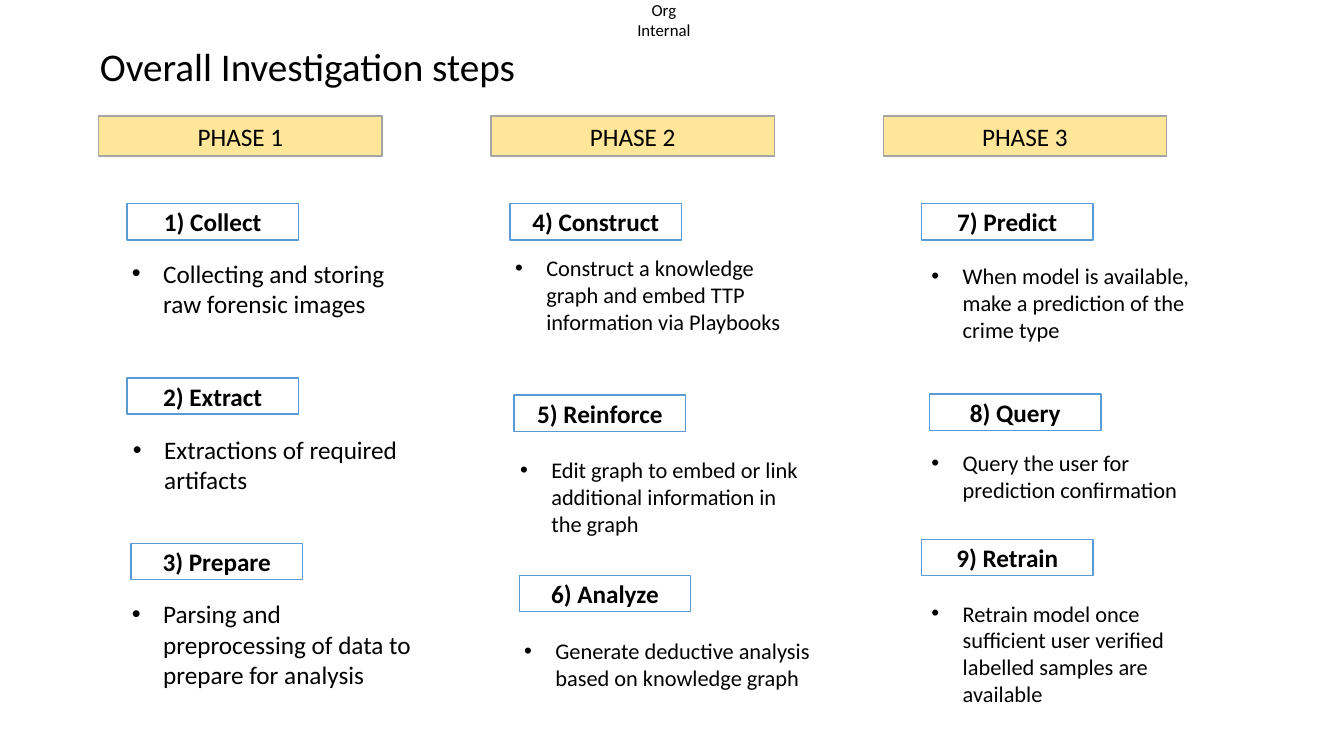
from pptx import Presentation
from pptx.dml.color import RGBColor
from pptx.enum.shapes import MSO_SHAPE
from pptx.enum.text import MSO_ANCHOR, MSO_AUTO_SIZE, PP_ALIGN
from pptx.oxml.ns import qn
from pptx.util import Inches, Pt
from lxml import etree

# Content
MARKING = "Org Internal"
TITLE = "Overall Investigation steps"

# Each step: heading, heading left and top, description, its left, top, height
PHASES = [
    ("PHASE 1", 18, [
        ("1) Collect", 1.26, 2.02,
         "Collecting and storing raw forensic images", 1.21, 2.51, 0.71),
        ("2) Extract", 1.26, 3.75,
         "Extractions of required artifacts", 1.22, 4.26, 0.71),
        ("3) Prepare", 1.3, 5.39,
         "Parsing and preprocessing of data to prepare for analysis",
         1.21, 5.89, 1.01),
    ]),
    ("PHASE 2", 16, [
        ("4) Construct", 5.06, 2.02,
         "Construct a knowledge graph and embed TTP information via Playbooks",
         5.01, 2.47, 0.91),
        ("5) Reinforce", 5.1, 3.92,
         "Edit graph to embed or link additional information in the graph",
         5.06, 4.48, 0.91),
        ("6) Analyze", 5.15, 5.71,
         "Generate deductive analysis based on knowledge graph",
         5.1, 6.27, 0.64),
    ]),
    ("PHASE 3", 16, [
        ("7) Predict", 9.14, 2.02,
         "When model is available, make a prediction of the crime type",
         9.14, 2.55, 0.91),
        ("8) Query", 9.22, 3.91,
         "Query the user for prediction confirmation", 9.14, 4.41, 0.64),
        ("9) Retrain", 9.14, 5.35,
         "Retrain model once sufficient user verified labelled samples are available",
         9.14, 5.9, 1.18),
    ]),
]

# Layout and colours
PHASE_LEFT, PHASE_STEP = 0.98, 3.89
BLACK, WHITE = "000000", "FFFFFF"
YELLOW, GREY, BLUE = "FFE699", "A5A5A5", "5B9BD5"


def color(value):
    return RGBColor.from_string(value)


def write(tf, text, size, bold=False, align=PP_ALIGN.LEFT):
    p = tf.paragraphs[0]
    p.alignment = align
    r = p.add_run()
    r.text = text
    r.font.name = "Calibri"
    r.font.size = Pt(size)
    r.font.bold = bold
    r.font.color.rgb = color(BLACK)
    return p


def add_box(s, text, left, top, width, height, fill, line, bold=False):
    sp = s.shapes.add_shape(MSO_SHAPE.RECTANGLE, Inches(left), Inches(top),
                            Inches(width), Inches(height))
    sp.shadow.inherit = False
    sp.fill.solid()
    sp.fill.fore_color.rgb = color(fill)
    sp.line.color.rgb = color(line)
    sp.line.width = Pt(1)
    sp.text_frame.vertical_anchor = MSO_ANCHOR.MIDDLE
    write(sp.text_frame, text, 18, bold, PP_ALIGN.CENTER)


def add_text(s, left, top, width, height):
    tf = s.shapes.add_textbox(Inches(left), Inches(top),
                              Inches(width), Inches(height)).text_frame
    tf.word_wrap = True
    tf.auto_size = MSO_AUTO_SIZE.SHAPE_TO_FIT_TEXT
    return tf


def add_bullet(p):
    pPr = p._p.get_or_add_pPr()
    pPr.set("marL", str(Inches(0.31)))
    pPr.set("indent", str(-Inches(0.31)))
    etree.SubElement(pPr, qn("a:buFont")).set("typeface", "Arial")
    etree.SubElement(pPr, qn("a:buChar")).set("char", "•")


prs = Presentation()
prs.slide_width, prs.slide_height = Inches(13.33), Inches(7.5)
s = prs.slides.add_slide(prs.slide_layouts[5])

# Title
title = s.shapes.title
title.left, title.top = Inches(0.89), Inches(0.37)
title.width, title.height = Inches(4.37), Inches(0.57)
tf = title.text_frame
tf.word_wrap = False
tf.auto_size = MSO_AUTO_SIZE.NONE
tf.vertical_anchor = MSO_ANCHOR.TOP
write(tf, TITLE, 28)

# Marking at the top edge
tf = add_text(s, 6.18, 0, 0.81, 0.2)
tf.word_wrap = False
tf.margin_left = tf.margin_right = tf.margin_top = tf.margin_bottom = 0
write(tf, MARKING, 12, align=PP_ALIGN.CENTER)

# Phases with their steps
for i, (phase, size, steps) in enumerate(PHASES):
    add_box(s, phase, PHASE_LEFT + i * PHASE_STEP, 1.15, 2.81, 0.4, YELLOW, GREY)
    for heading, x, y, detail, left, top, height in steps:
        add_box(s, heading, x, y, 1.7, 0.36, WHITE, BLUE, bold=True)
        tf = add_text(s, left, top, 3.08, height)
        add_bullet(write(tf, detail, size))

prs.save("out.pptx")
